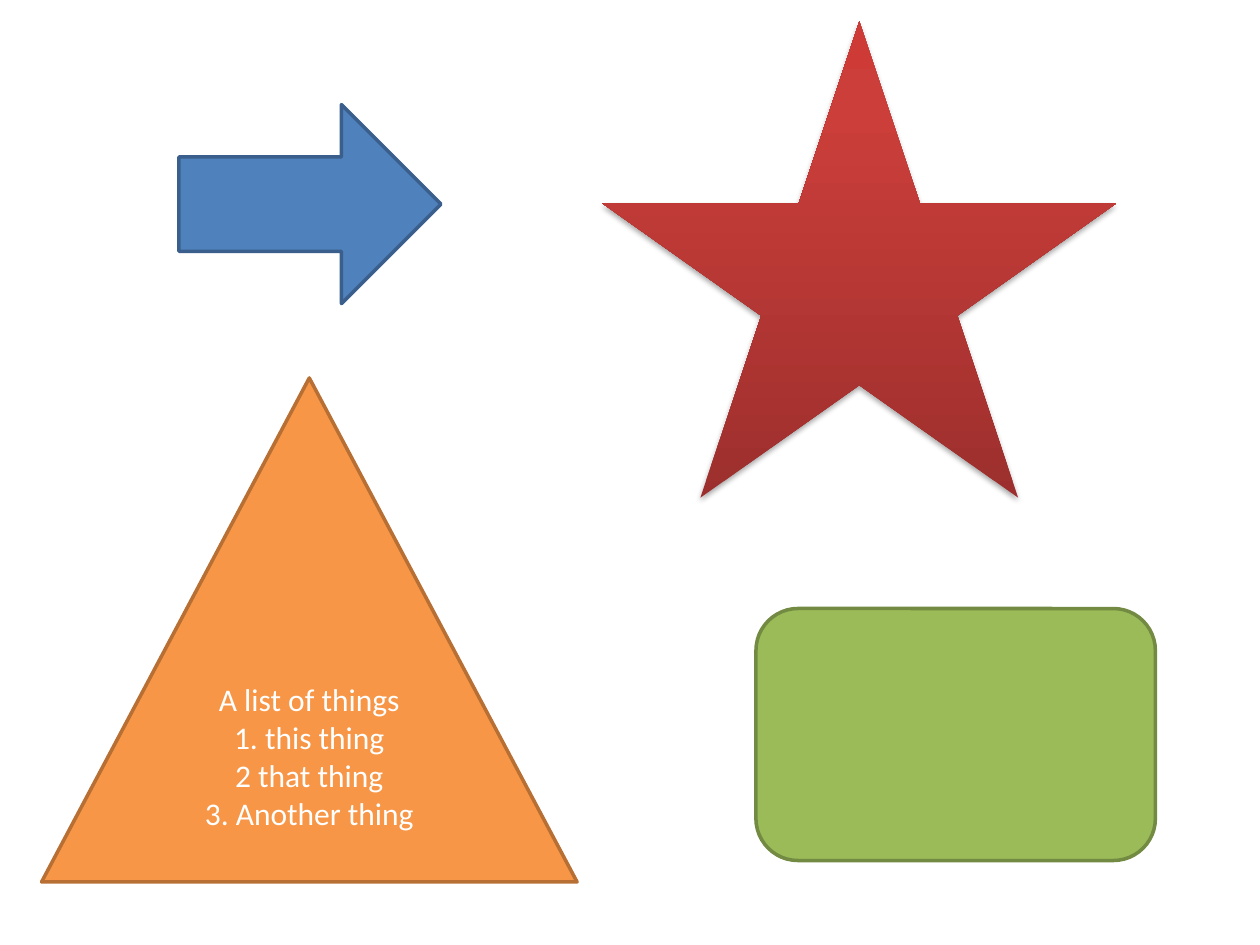
from copy import deepcopy

from lxml import etree
from pptx import Presentation
from pptx import util as u
from pptx.dml.color import RGBColor
from pptx.enum import shapes, text
from pptx.oxml import ns

COLORS = {
    "orange": "F79646", "orange_edge": "B76F34",
    "blue": "4F81BD", "blue_edge": "3A5F8C",
    "green": "9BBB59", "green_edge": "738A42",
    "red_dark": "9C2F2D", "red_mid": "CB3E3A", "red_light": "CE3B37",
    "white": "FFFFFF", "black": "000000",
}
KINDS = shapes.MSO_SHAPE

deck = Presentation()
deck.slide_width, deck.slide_height = u.Inches(10), u.Inches(7.5)
slide = deck.slides.add_slide(deck.slide_layouts[6])


def add_figure(kind, left, top, width, height):
    """Add a preset shape, placed in inches, without a theme shadow."""
    figure = slide.shapes.add_shape(kind, *map(u.Inches, (left, top, width, height)))
    figure.shadow.inherit = False
    return figure


def paint(figure, color):
    """Give a shape a plain fill and its darker 2 pt edge."""
    figure.fill.solid()
    figure.fill.fore_color.rgb = RGBColor.from_string(COLORS[color])
    figure.line.color.rgb = RGBColor.from_string(COLORS[color + "_edge"])
    figure.line.width = u.Pt(2)


# Triangle with the list
triangle = add_figure(KINDS.ISOSCELES_TRIANGLE, 0.33, 3, 4.25, 4)
paint(triangle, "orange")
things = ["A list of things", "1. this thing", "2 that thing", "3. Another thing"]
triangle.text_frame.text = "\n".join(things)
triangle.text_frame.vertical_anchor = text.MSO_ANCHOR.MIDDLE
list_format = {"name": "Calibri", "size": u.Pt(18)}
for thing in triangle.text_frame.paragraphs:
    thing.alignment = text.PP_ALIGN.CENTER
    font = thing.runs[0].font
    for key, value in list_format.items():
        setattr(font, key, value)
    font.color.rgb = RGBColor.from_string(COLORS["white"])

# Down arrow turned to point right
arrow = add_figure(KINDS.DOWN_ARROW, 1.67, 0.58, 1.58, 2.08)
paint(arrow, "blue")
arrow.rotation = 270
arrow.adjustments[0], arrow.adjustments[1] = 0.475, 0.5

# Star with a gradient rising from dark to light
star = add_figure(KINDS.STAR_5_POINT, 4.78, 0.17, 4.08, 3.78)
star.line.fill.background()
star.fill.gradient()
star.fill.gradient_angle = 90
first_stop = star.element.spPr.find(".//" + ns.qn("a:gs"))
first_stop.addnext(deepcopy(first_stop))
gradient = [(0, "red_dark"), (0.8, "red_mid"), (1, "red_light")]
for stop, (position, color) in zip(star.fill.gradient_stops, gradient):
    stop.position = position
    stop.color.rgb = RGBColor.from_string(COLORS[color])

effects = star.element.spPr.find(ns.qn("a:effectLst"))
shadow = etree.SubElement(
    effects, ns.qn("a:outerShdw"), blurRad=str(u.Pt(3.1)), dist=str(u.Pt(1.8)),
    dir=str(90 * 60000), rotWithShape="0")
shade = etree.SubElement(shadow, ns.qn("a:srgbClr"), val=COLORS["black"])
etree.SubElement(shade, ns.qn("a:alpha"), val="35000")

# Rounded box
paint(add_figure(KINDS.ROUNDED_RECTANGLE, 6, 4.83, 3.17, 2), "green")

deck.save("out.pptx")
